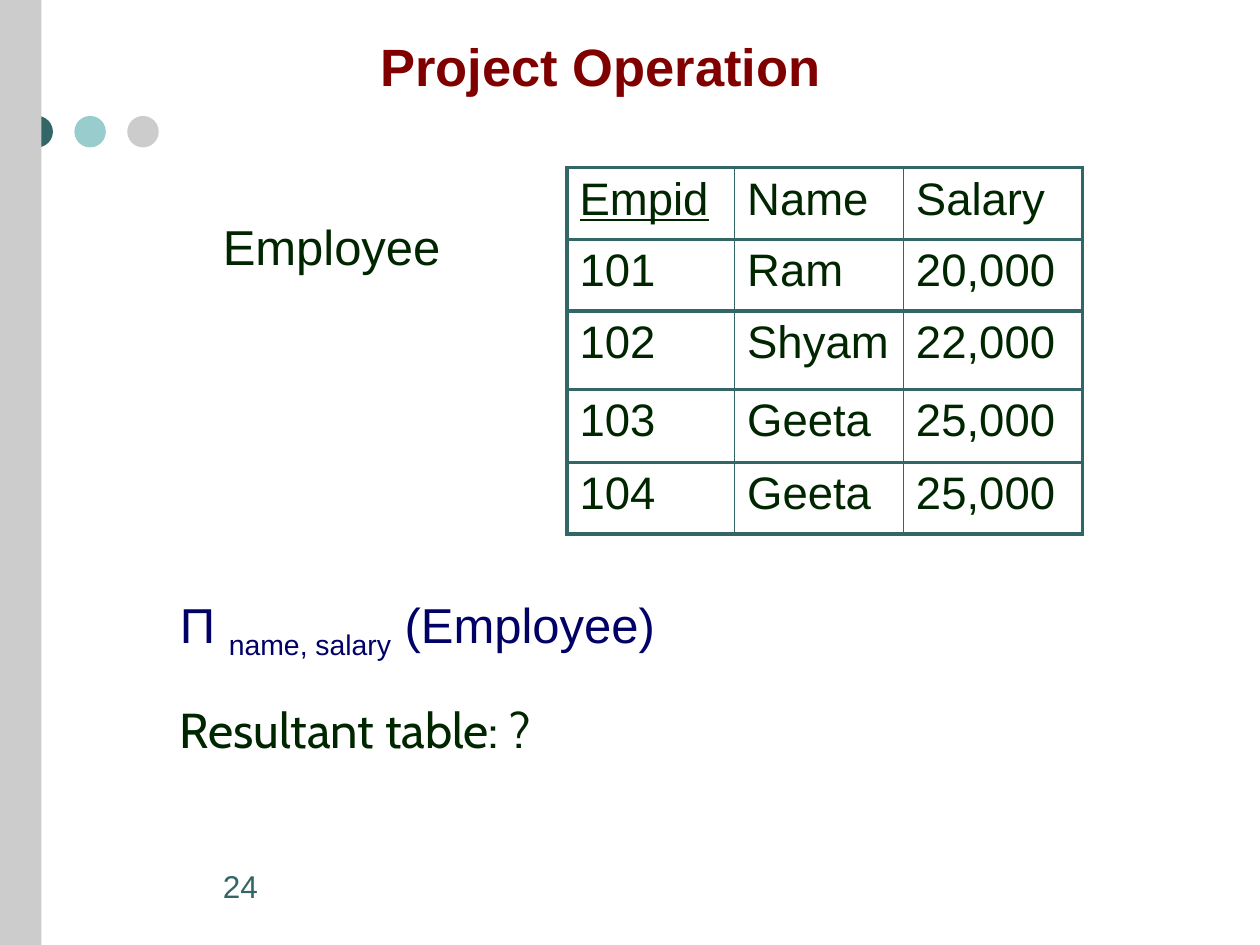
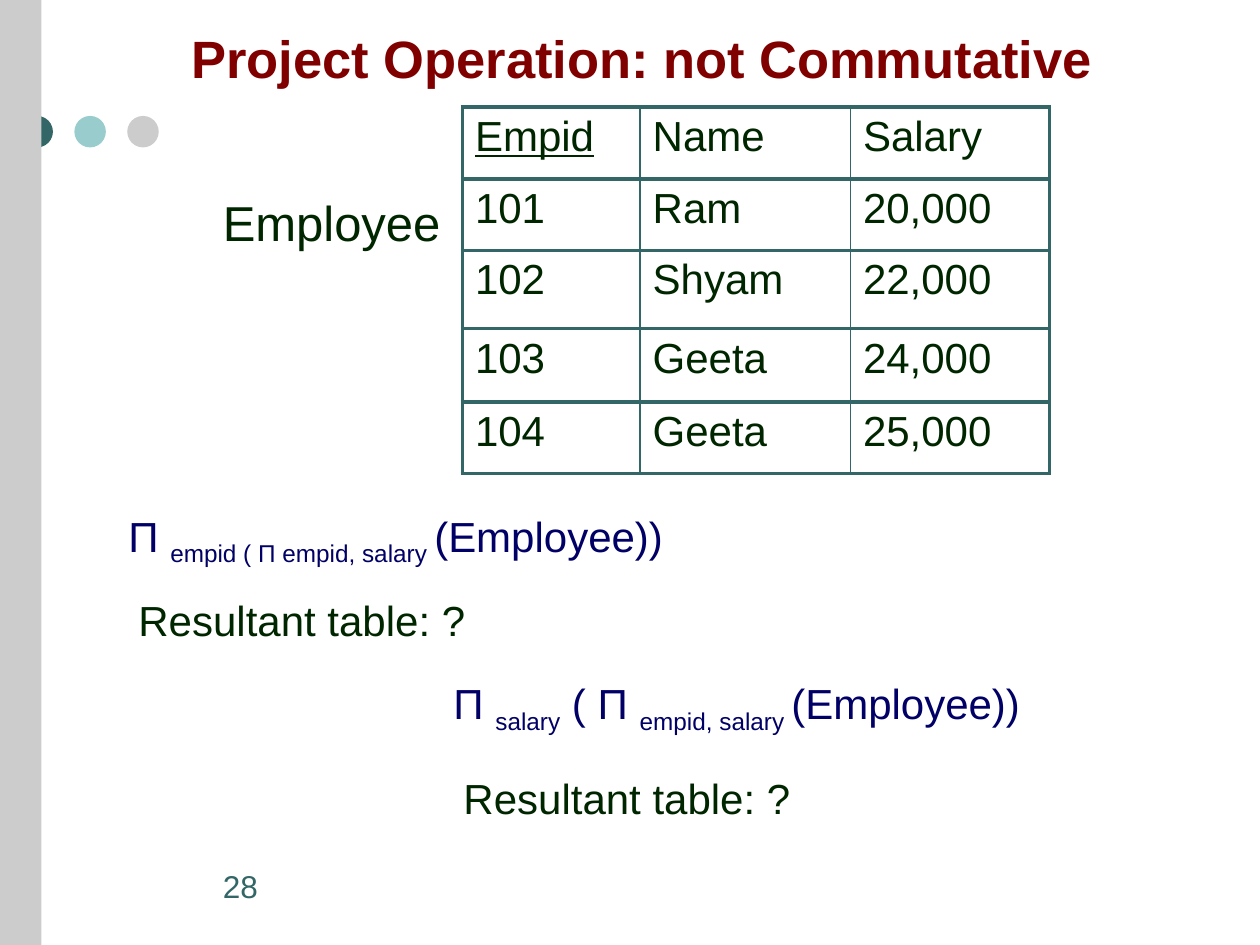
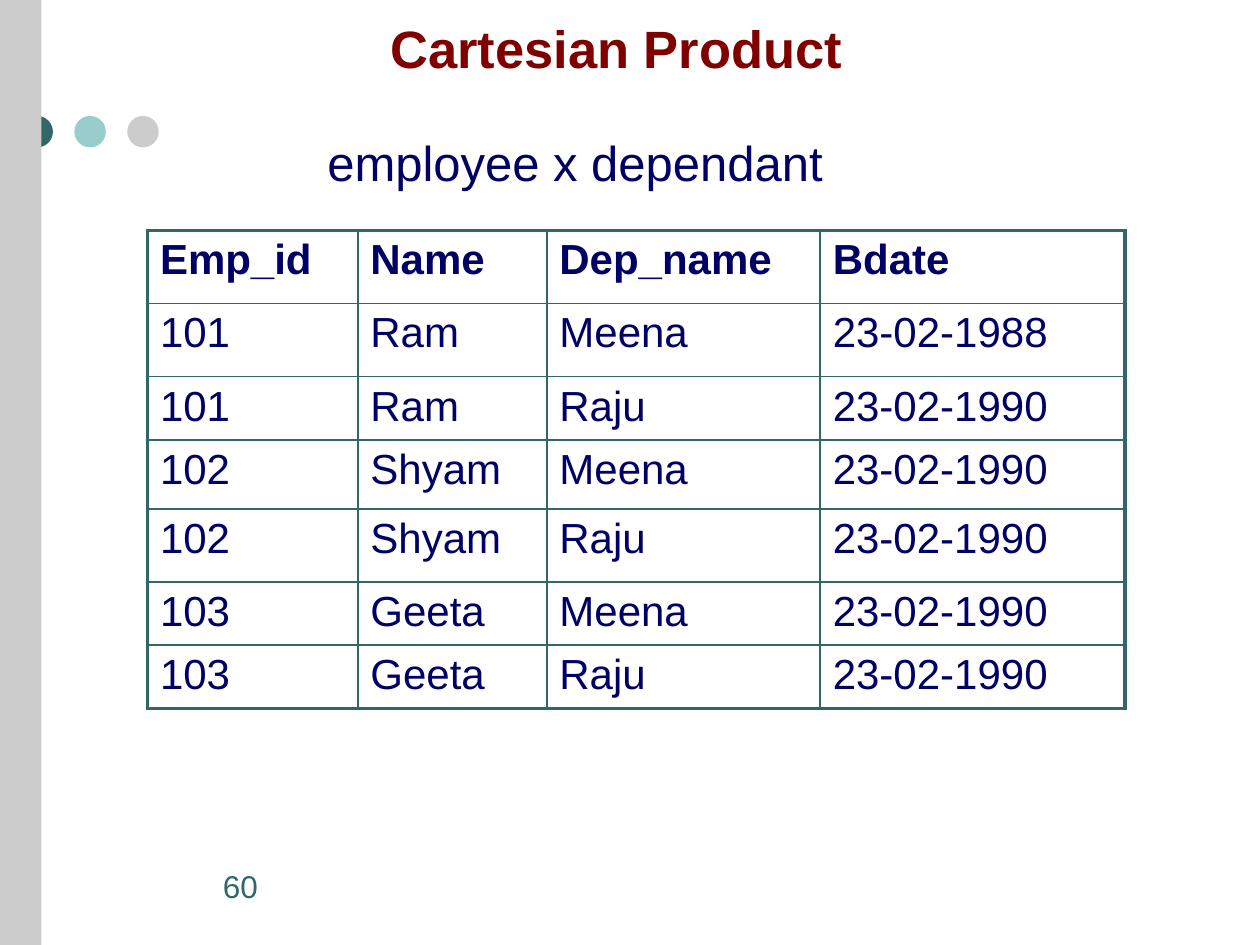
import math

from lxml import etree
from pptx import Presentation
from pptx import util as u
from pptx.dml.color import RGBColor
from pptx.enum import shapes, text
from pptx.oxml.ns import qn

TEAL, AQUA, GREY = "336666", "99CCCC", "CCCCCC"
MAROON, GREEN, NAVY = "800000", "002600", "000066"
THIN, THICK = 1, 2.25
STAFF_ROWS = [0.57, 0.57, 0.62, 0.58, 0.57]


def rgb(hex_color):
    return RGBColor.from_string(hex_color)


def set_font(p, size, color, name="Arial", bold=False):
    p.font.name, p.font.size, p.font.bold = name, u.Pt(size), bold
    p.font.color.rgb = rgb(color)


def paint(sp, color):
    sp.shadow.inherit = False
    sp.fill.solid()
    sp.fill.fore_color.rgb = rgb(color)
    sp.line.fill.background()


def add_text(s, box, parts, size, color, name="Arial", bold=False,
             anchor=text.MSO_ANCHOR.TOP):
    """Add one line of text; every second part is set as subscript."""
    tf = s.shapes.add_textbox(*map(u.Inches, box)).text_frame
    tf.word_wrap = True
    tf.vertical_anchor = anchor
    p = tf.paragraphs[0]
    for i, part in enumerate(parts):
        r = p.add_run()
        r.text = part
        if i % 2:
            r.font._element.set("baseline", "-25000")
    set_font(p, size, color, name, bold)


def add_formula(s, box, parts, size):
    add_text(s, box, parts, size, NAVY)


def add_label(s, box, label, size, name="Arial"):
    add_text(s, box, [label], size, GREEN, name)


def add_dots(s, left, top, size=0.25, pitch=0.42):
    for i, color in enumerate((TEAL, AQUA, GREY)):
        box = (left + i * pitch, top, size, size)
        paint(s.shapes.add_shape(shapes.MSO_SHAPE.OVAL, *map(u.Inches, box)), color)


def add_corner_band(s, width, height):
    """Band along the top edge that curves down into the side band."""
    thickness, inner, rx, ry = 0.38, 0.25, 0.21, 0.15
    arc = [(inner + rx * (1 - math.sin(a)), thickness + ry * (1 - math.cos(a)))
           for a in (math.radians(d) for d in range(0, 91, 10))]
    outline = [(width, thickness), *arc, (inner, height), (0, height), (0, 0)]
    builder = s.shapes.build_freeform(width, 0, scale=u.Inches(1))
    builder.add_line_segments(outline, close=True)
    paint(builder.convert_to_shape(), GREY)


def add_slide(prs, title, title_box, number):
    s = prs.slides.add_slide(prs.slide_layouts[6])
    add_dots(s, 0.17, 0.92)
    side = s.shapes.add_shape(shapes.MSO_SHAPE.RECTANGLE, 0, 0,
                              u.Inches(0.33), prs.slide_height)
    paint(side, GREY)
    add_corner_band(s, 2.25, 0.58)
    add_text(s, (1.67, 6.83, 1.42, 0.5), [str(number)], 18, TEAL)
    add_text(s, title_box, [title], 30, MAROON, bold=True,
             anchor=text.MSO_ANCHOR.MIDDLE)
    return s


def set_borders(cell, **widths):
    tcPr = cell._tc.get_or_add_tcPr()
    for side, width in widths.items():
        ln = etree.SubElement(tcPr, qn(f"a:ln{side}"), w=str(u.Pt(width)))
        fill = etree.SubElement(ln, qn("a:solidFill"))
        etree.SubElement(fill, qn("a:srgbClr"), val=TEAL)


def add_grid(s, left, top, cols, heights, rows, size, color, inner_rule,
             bold_header=False):
    """Add a table with thick edges and inner_rule points between its rows."""
    box = (left, top, sum(cols), sum(heights))
    tbl = s.shapes.add_table(len(rows), len(cols), *map(u.Inches, box)).table
    tbl.first_row = tbl.horz_banding = False
    for col, width in zip(tbl.columns, cols):
        col.width = u.Inches(width)
    for row, height in zip(tbl.rows, heights):
        row.height = u.Inches(height)
    last_row, last_col = len(rows) - 1, len(cols) - 1
    for i, values in enumerate(rows):
        for j, value in enumerate(values):
            cell = tbl.cell(i, j)
            cell.text = value
            set_font(cell.text_frame.paragraphs[0], size, color,
                     bold=bold_header and i == 0)
            set_borders(cell, L=THIN if j else THICK,
                        R=THIN if j < last_col else THICK,
                        T=inner_rule if i else THICK,
                        B=inner_rule if i < last_row else THICK)
            cell.fill.background()
    return tbl


def add_employee_table(s, left, top, cols, size, third_salary):
    rows = [("Empid", "Name", "Salary"), ("101", "Ram", "20,000"),
            ("102", "Shyam", "22,000"), ("103", "Geeta", third_salary),
            ("104", "Geeta", "25,000")]
    tbl = add_grid(s, left, top, cols, STAFF_ROWS, rows, size, GREEN, THICK)
    tbl.cell(0, 0).text_frame.paragraphs[0].runs[0].font.underline = True


def project_slide(prs):
    s = add_slide(prs, "Project Operation", (2.92, 0.21, 4, 0.62), 24)
    add_employee_table(s, 4.5, 1.33, [1.33, 1.34, 1.42], 26, "25,000")
    add_label(s, (1.67, 1.67, 2.5, 0.57), "Employee", 28)
    add_label(s, (1.33, 5.5, 4.83, 0.57), "Resultant table: ?", 28, "Cabin")
    add_formula(s, (1.33, 4.67, 4.67, 0.57),
                ["Π ", "name, salary", " (Employee)"], 28)


def not_commutative_slide(prs):
    s = add_slide(prs, "Project Operation: not Commutative",
                  (1.42, 0.17, 7.92, 0.58), 28)
    add_employee_table(s, 3.67, 0.85, [1.41, 1.67, 1.58], 24, "24,000")
    add_label(s, (1.67, 1.48, 2.17, 0.57), "Employee", 28)
    add_formula(s, (0.92, 4, 5, 0.5),
                ["Π ", "empid ( Π empid, salary ", "(Employee))"], 24)
    add_label(s, (1, 4.67, 3.08, 0.5), "Resultant table: ?", 24)
    add_formula(s, (3.5, 5.33, 5, 0.5),
                ["Π ", "salary", " ( Π ", "empid, salary ", "(Employee))"], 24)
    add_label(s, (3.58, 6.08, 3.75, 0.5), "Resultant table: ?", 24)


def cartesian_slide(prs):
    s = add_slide(prs, "Cartesian Product", (3, 0.08, 5, 0.6), 60)
    add_formula(s, (2.5, 1, 4.83, 0.57), ["employee х dependant"], 28)
    employees = [("101", "Ram"), ("102", "Shyam"), ("103", "Geeta")]
    dependants = [("Meena", "23-02-1990"), ("Raju", "23-02-1990")]
    rows = [("Emp_id", "Name", "Dep_name", "Bdate")]
    rows += [e + d for e in employees for d in dependants]
    rows[1] = ("101", "Ram", "Meena", "23-02-1988")
    add_grid(s, 1.17, 1.83, [1.67, 1.5, 2.17, 2.42],
             [0.58, 0.58, 0.5, 0.55, 0.58, 0.5, 0.5], rows, 24, NAVY, THIN,
             bold_header=True)


def main():
    prs = Presentation()
    prs.slide_width, prs.slide_height = u.Inches(10), u.Inches(7.5)
    project_slide(prs)
    not_commutative_slide(prs)
    cartesian_slide(prs)
    prs.save("out.pptx")


if __name__ == "__main__":
    main()
